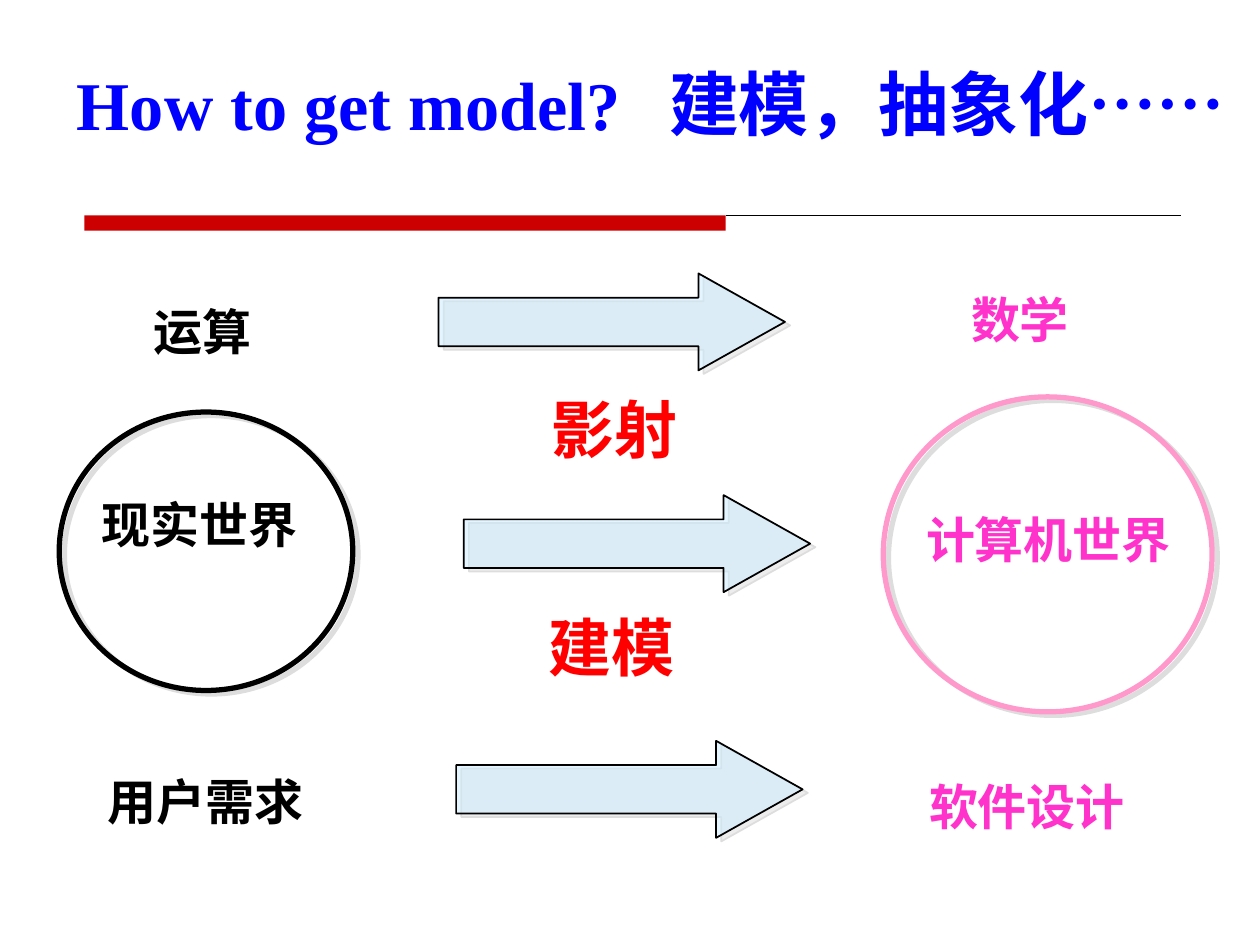
from pptx import Presentation
from pptx.dml.color import RGBColor
from pptx.enum.shapes import MSO_CONNECTOR, MSO_SHAPE
from pptx.enum.text import MSO_ANCHOR, MSO_AUTO_SIZE, PP_ALIGN
from pptx.oxml.ns import qn
from pptx.util import Inches, Pt

LEFT, CENTER = PP_ALIGN.LEFT, PP_ALIGN.CENTER
MIDDLE = MSO_ANCHOR.MIDDLE
NO_AUTOFIT = MSO_AUTO_SIZE.NONE
OVAL, ARROW, RECTANGLE = MSO_SHAPE.OVAL, MSO_SHAPE.RIGHT_ARROW, MSO_SHAPE.RECTANGLE
STRAIGHT = MSO_CONNECTOR.STRAIGHT

BLACK, RED, BLUE, MAGENTA = "000000", "FF0000", "0000FF", "FF33CC"
PINK, PALE_BLUE, BAR_RED, SHADOW_GREY = "FF99CC", "CCECFF", "CC0000", "DDDDDD"
LABEL_FONT, TITLE_FONT, CHINESE_FONT = "Vollkorn", "Times New Roman", "Noto Sans CJK SC"


def color(value):
    """Turn a hex string into a colour."""
    return RGBColor.from_string(value)


def inches(box):
    """Turn left, top, width and height into lengths."""
    return [Inches(value) for value in box]


def add_run(paragraph, text, size=28, fill=BLACK, font=LABEL_FONT, east_asian=CHINESE_FONT):
    """Add bold text to a paragraph."""
    run = paragraph.add_run()
    run.text = text
    run.font.size = Pt(size)
    run.font.bold = True
    run.font.name = font
    run.font.color.rgb = color(fill)
    properties = run.font._element
    properties.makeelement(qn("a:ea"), {})
    latin = properties.find(qn("a:latin"))
    latin.addnext(latin.makeelement(qn("a:ea"), {"typeface": east_asian}))


def add_label(slide, text, box, **text_format):
    """Add a centred one-line label."""
    frame = slide.shapes.add_textbox(*inches(box)).text_frame
    frame.word_wrap = False
    paragraph = frame.paragraphs[0]
    paragraph.alignment = CENTER
    paragraph.line_spacing = 1.4
    add_run(paragraph, text, east_asian=LABEL_FONT, **text_format)


def add_shadowed_shape(slide, kind, box, line, width):
    """Add an unfilled outlined shape with a hard grey shadow."""
    shape = slide.shapes.add_shape(kind, *inches(box))
    shape.fill.background()
    shape.line.color.rgb = color(line)
    shape.line.width = Pt(width)
    shape.shadow.inherit = False
    effects = shape._element.spPr.find(qn("a:effectLst"))
    shadow = effects.makeelement(
        qn("a:outerShdw"),
        {"dist": str(Pt(3.6)), "dir": str(34 * 60000), "algn": "ctr", "rotWithShape": "0"})
    shadow.append(shadow.makeelement(qn("a:srgbClr"), {"val": SHADOW_GREY}))
    effects.append(shadow)
    return shape


def add_arrow(slide, box):
    """Add a half-transparent block arrow."""
    arrow = add_shadowed_shape(slide, ARROW, box, BLACK, 1)
    arrow.adjustments[0] = 0.5
    arrow.adjustments[1] = 0.892
    arrow.fill.solid()
    arrow.fill.fore_color.rgb = color(PALE_BLUE)
    fill = arrow._element.spPr.find(qn("a:solidFill"))[0]
    fill.append(fill.makeelement(qn("a:alpha"), {"val": "50000"}))


def add_title(slide, box):
    """Place the title with its Chinese part at a tab stop."""
    title = slide.shapes.title
    title.left, title.top, title.width, title.height = inches(box)
    frame = title.text_frame
    frame.word_wrap = True
    frame.auto_size = NO_AUTOFIT
    frame.vertical_anchor = MIDDLE
    paragraph = frame.paragraphs[0]
    paragraph.alignment = LEFT
    properties = paragraph._p.get_or_add_pPr()
    tabs = properties.makeelement(qn("a:tabLst"), {})
    tabs.append(tabs.makeelement(qn("a:tab"), {"pos": str(Inches(4.7)), "algn": "l"}))
    properties.append(tabs)
    add_run(paragraph, "How to get model?\t", size=39, fill=BLUE, font=TITLE_FONT)
    add_run(paragraph, "建模，抽象化", size=40, fill=BLUE, font=CHINESE_FONT)
    add_run(paragraph, "……", size=39, fill=BLUE, font=TITLE_FONT)


def add_divider(slide, box):
    """Add the thin rule and the red bar under its left part."""
    left, top, width, height = inches(box)
    bar = slide.shapes.add_shape(RECTANGLE, left, top, Inches(5.09), height)
    bar.fill.solid()
    bar.fill.fore_color.rgb = color(BAR_RED)
    bar.line.fill.background()
    bar.shadow.inherit = False
    rule = slide.shapes.add_connector(STRAIGHT, left + bar.width, top, left + width, top)
    rule.line.color.rgb = color(BLACK)
    rule.line.width = Pt(0.75)
    properties = rule._element.spPr
    properties.append(properties.makeelement(qn("a:effectLst"), {}))


def add_world(slide, circle_box, labels, text_color, line_color):
    """Add one world: its circle and the labels in and around it."""
    add_shadowed_shape(slide, OVAL, circle_box, line_color, 3)
    for text, box in labels:
        add_label(slide, text, box, fill=text_color)


def add_mapping(slide, box, offsets, labels):
    """Add the arrows at their offsets in the box, and the labels between them."""
    left, top, width, height = box
    for across, down in offsets:
        add_arrow(slide, (left + across, top + down, width, height))
    for text, label_box in labels:
        add_label(slide, text, label_box, size=36, fill=RED)


def main():
    """Build and save the slide."""
    presentation = Presentation()
    presentation.slide_width, presentation.slide_height = Inches(10), Inches(7.5)
    slide = presentation.slides.add_slide(presentation.slide_layouts[5])
    add_divider(slide, (0.67, 1.71, 8.7, 0.12))
    add_title(slide, (0.51, 0.3, 9.49, 1.02))
    add_world(slide, (0.47, 3.27, 2.33, 2.21), [
        ("运算", (1.11, 2.16, 0.99, 0.69)),
        ("现实世界", (0.48, 3.69, 2.21, 0.94)),
        ("用户需求", (0.74, 5.89, 1.78, 0.76)),
    ], BLACK, BLACK)
    add_world(slide, (7.01, 3.15, 2.61, 2.5), [
        ("数学", (7.6, 2.06, 0.99, 0.69)),
        ("计算机世界", (6.96, 3.81, 2.72, 0.94)),
        ("软件设计", (7.26, 5.93, 1.78, 0.69)),
    ], MAGENTA, PINK)
    add_mapping(slide, (3.48, 2.17, 2.75, 0.77), [(0, 0), (0.2, 1.76), (0.14, 3.71)], [
        ("影射", (4.27, 2.81, 1.22, 0.86)),
        ("建模", (4.24, 4.54, 1.22, 0.86)),
    ])
    presentation.save("out.pptx")


if __name__ == "__main__":
    main()
